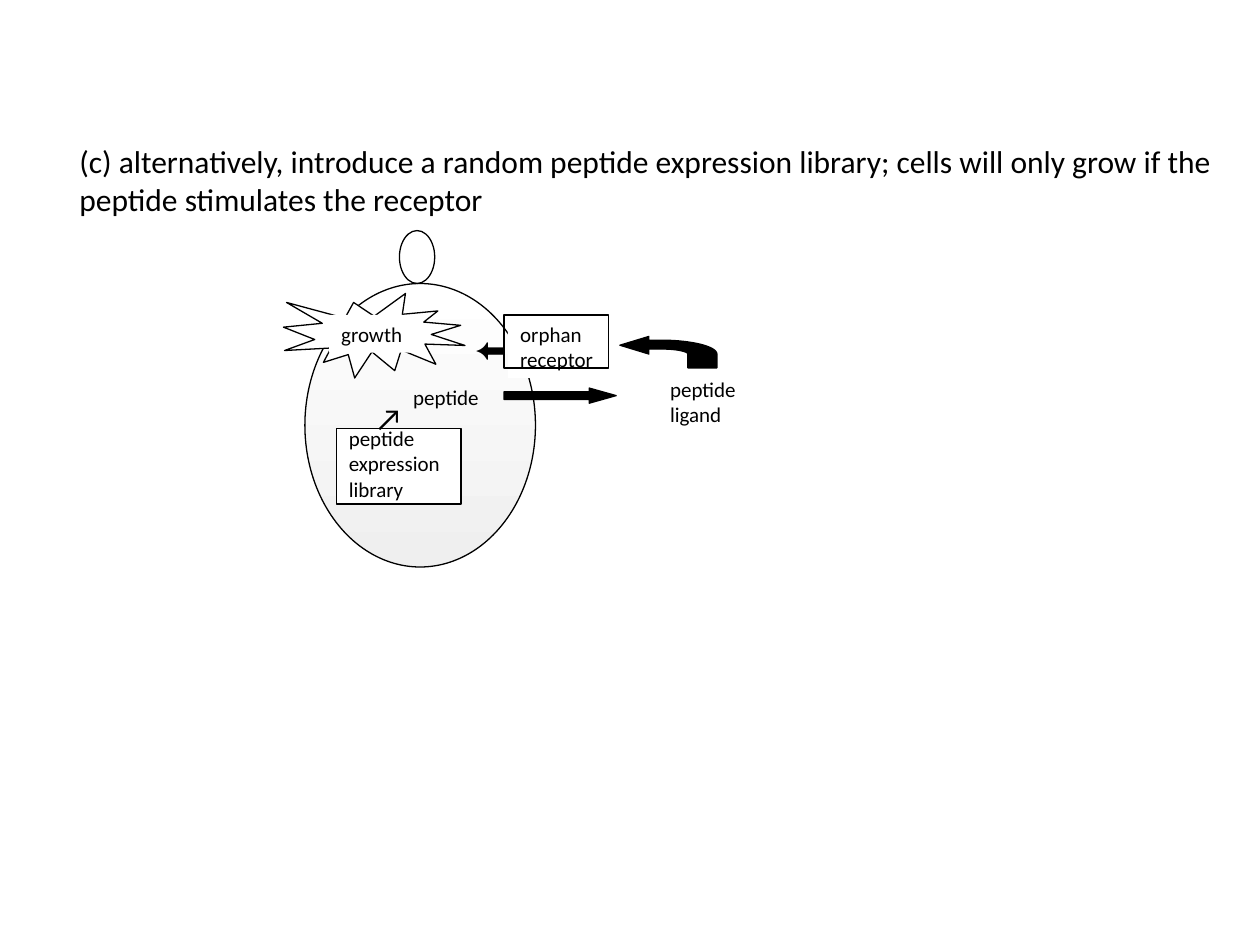
from pptx import Presentation
from pptx.dml.color import RGBColor
from pptx.enum.shapes import MSO_SHAPE
from pptx.enum.text import MSO_ANCHOR, MSO_AUTO_SIZE, PP_ALIGN
from pptx.util import Inches, Pt

# Content, from back to front: kind, place (left, top, width, height), details
TITLE = ("(c) alternatively, introduce a random peptide expression library; "
         "cells will only grow if the peptide stimulates the receptor")
TITLE_AT = (0.53, 1.08, 9.47, 0.7)
PARTS = [
    ("shape", (2.42, 2.25, 1.83, 2.25), dict(preset=MSO_SHAPE.OVAL, fill="cell")),
    ("shape", (3.17, 1.83, 0.28, 0.42), dict(preset=MSO_SHAPE.OVAL)),
    ("label", (4.03, 2.5, 0.81, 0.5), dict(lines=["orphan ", "receptor"], fill="paper")),
    ("shape", (4, 2.5, 0.83, 0.42), dict(preset=MSO_SHAPE.RECTANGLE)),
    ("label", (3.17, 3, 0.74, 0.5), dict(lines=["peptide"], align=PP_ALIGN.CENTER)),
    ("shape", (2.25, 2.33, 1.44, 0.67), dict(preset=MSO_SHAPE.EXPLOSION1, fill="paper")),
    ("label", (2.61, 2.5, 0.7, 0.3), dict(lines=["growth"], fill="paper")),
    ("shape", (2.67, 3.4, 0.99, 0.6), dict(preset=MSO_SHAPE.RECTANGLE, fill="paper")),
    ("label", (2.67, 3.33, 1, 0.7), dict(lines=["peptide", "expression", "library"])),
    ("label", (5.22, 2.94, 0.74, 0.5), dict(lines=["peptide", "ligand"])),
    ("shape", (4, 3.08, 0.89, 0.12),
     dict(preset=MSO_SHAPE.RIGHT_ARROW, fill="ink", adjust=(0.5, 1.78))),
    ("label", (3.67, 2.56, 0.41, 0.33), dict(lines=["\u2b05"], size="large")),
    ("label", (2.88, 3.12, 0.37, 0.33), dict(lines=["\u2197"], size="large")),
]

THEME = dict(
    font="Calibri", ink=RGBColor(0, 0, 0), paper=RGBColor(255, 255, 255),
    shade=RGBColor(0xEF, 0xEF, 0xEF), large=Pt(18), small=Pt(12), line=Pt(0.75))

prs = Presentation()
prs.slide_width, prs.slide_height = Inches(10), Inches(7.5)
s = prs.slides.add_slide(prs.slide_layouts[5])


def inches(values):
    return [Inches(v) for v in values]


def write(tf, lines, size="small", align=PP_ALIGN.LEFT):
    for i, text in enumerate(lines):
        p = tf.add_paragraph() if i else tf.paragraphs[0]
        p.alignment = align
        r = p.add_run()
        r.text = text
        r.font.name, r.font.size = THEME["font"], THEME[size]
        r.font.color.rgb = THEME["ink"]


def paint(sp, fill):
    if fill is None:
        sp.fill.background()
    elif fill == "cell":
        sp.fill.gradient()
        sp.fill.gradient_angle = 270
        for stop, name, pos in zip(sp.fill.gradient_stops, ("paper", "shade"), (0, 1)):
            stop.color.rgb, stop.position = THEME[name], pos
    else:
        sp.fill.solid()
        sp.fill.fore_color.rgb = THEME[fill]


def outline(sp, fill):
    sp.shadow.inherit = False
    paint(sp, fill)
    sp.line.color.rgb, sp.line.width = THEME["ink"], THEME["line"]


def add_shape(at, preset, fill=None, adjust=()):
    sp = s.shapes.add_shape(preset, *inches(at))
    for i, value in enumerate(adjust):
        sp.adjustments[i] = value
    outline(sp, fill)


def add_label(at, lines, fill=None, **fmt):
    sp = s.shapes.add_textbox(*inches(at))
    paint(sp, fill)
    tf = sp.text_frame
    tf.word_wrap, tf.auto_size = False, MSO_AUTO_SIZE.SHAPE_TO_FIT_TEXT
    write(tf, lines, **fmt)


def curve(a, b, c, d, steps=16):
    """Points after a on the cubic curve a-b-c-d."""
    ts = [i / steps for i in range(1, steps + 1)]
    return [tuple((1 - t) ** 3 * a[k] + 3 * (1 - t) ** 2 * t * b[k]
                  + 3 * (1 - t) * t ** 2 * c[k] + t ** 3 * d[k] for k in (0, 1))
            for t in ts]


def add_ligand_arrow():
    points = [(4.92, 2.74), (5.15, 2.67), (5.15, 2.7), (5.25, 2.7),
              *curve((5.25, 2.7), (5.49, 2.7), (5.69, 2.75), (5.69, 2.81)),
              (5.69, 2.92), (5.46, 2.92), (5.46, 2.81),
              *curve((5.46, 2.81), (5.46, 2.79), (5.37, 2.77), (5.25, 2.77)),
              (5.15, 2.77), (5.15, 2.81)]
    start, *rest = [tuple(inches(pt)) for pt in points]
    builder = s.shapes.build_freeform(*start)
    builder.add_line_segments(rest, close=True)
    outline(builder.convert_to_shape(), "ink")


# Title
title = s.shapes.title
title.left, title.top, title.width, title.height = inches(TITLE_AT)
tf = title.text_frame
tf.word_wrap, tf.auto_size = True, MSO_AUTO_SIZE.NONE
tf.vertical_anchor = MSO_ANCHOR.TOP
write(tf, [TITLE], size="large")

# Cell diagram
DRAW = dict(shape=add_shape, label=add_label)
for kind, at, details in PARTS:
    DRAW[kind](at, **details)
add_ligand_arrow()

prs.save("out.pptx")
